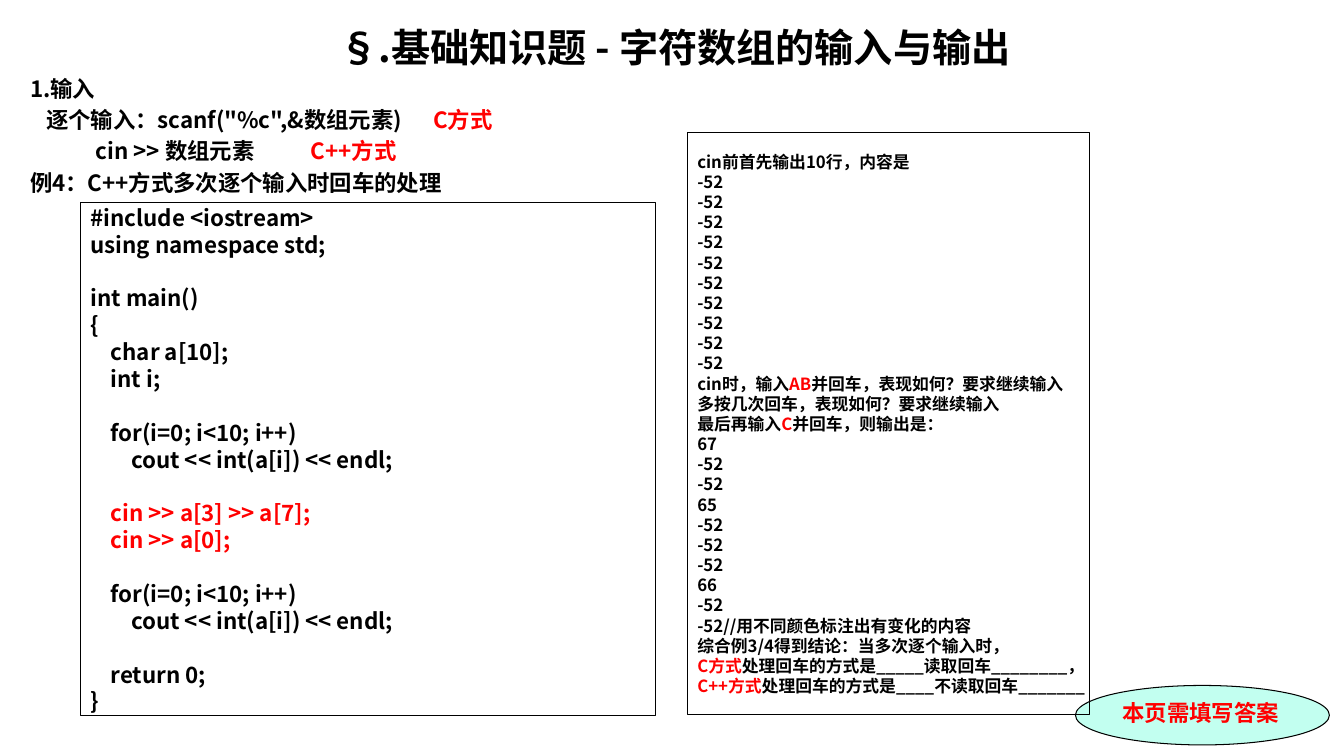
from lxml.etree import SubElement
from pptx import Presentation
from pptx.dml.color import RGBColor as RGB
from pptx.enum.shapes import MSO_SHAPE as SHAPE
from pptx.enum.text import MSO_ANCHOR as ANCHOR, PP_ALIGN as ALIGN
from pptx.oxml.ns import qn
from pptx.util import Pt

COLORS = {"ink": "000000", "red": "FF0000", "mint": "C2FFF0"}
SANS = "Noto Sans CJK SC"

CODE = """#include <iostream>
using namespace std;

int main()
{
    char a[10];
    int i;

    for(i=0; i<10; i++)
        cout << int(a[i]) << endl;

|    cin >> a[3] >> a[7];
|    cin >> a[0];

    for(i=0; i<10; i++)
        cout << int(a[i]) << endl;

    return 0;
}""".split("\n")

ANSWER = [
    "cin前首先输出10行，内容是",
    *["-52"] * 10,
    "cin时，输入|AB|并回车，表现如何？要求继续输入",
    "多按几次回车，表现如何？要求继续输入",
    "最后再输入|C|并回车，则输出是：",
    "67", "-52", "-52",
    "65", "-52", "-52", "-52",
    "66", "-52",
    "-52//用不同颜色标注出有变化的内容",
    "综合例3/4得到结论：当多次逐个输入时，",
    "|C方式|处理回车的方式是_____读取回车________，",
    "|C++方式|处理回车的方式是____不读取回车_______",
]

# text, size, tab stops
INTRO = [
    ("§.基础知识题 - 字符数组的输入与输出", 28, []),
    ("1.输入", 16, []),
    ("\t逐个输入：scanf(\"%c\",&数组元素)\t|C方式", 16, [11.5, 288]),
    ("\tcin >> 数组元素\t|C++方式", 16, [47, 200.5]),
    ("例4：C++方式多次逐个输入时回车的处理", 16, []),
]


def write(para, text, size, face=SANS):
    """Fill a paragraph; every second piece between bars is red."""
    para.line_spacing = Pt(size * 1.2)
    for n, piece in enumerate(text.split("|")):
        if not piece:
            continue
        run = para.add_run()
        run.text = piece
        font = run.font
        font.size, font.bold, font.name = Pt(size), True, face
        font.color.rgb = RGB.from_string(COLORS["red" if n % 2 else "ink"])
        SubElement(run._r.get_or_add_rPr(), qn("a:ea"), typeface=SANS)


def outline(kind, *place):
    """Add a shape with a thin black line and no fill."""
    shape = slide.shapes.add_shape(kind, *map(Pt, place))
    shape.shadow.inherit = False
    shape.fill.background()
    shape.line.color.rgb = RGB.from_string(COLORS["ink"])
    shape.line.width = Pt(0.75)
    return shape


prs = Presentation()
prs.slide_width, prs.slide_height = Pt(960), Pt(540)
slide = prs.slides.add_slide(prs.slide_layouts[6])

# Title and intro
intro = slide.shapes.add_textbox(Pt(14.4), Pt(13), Pt(935.3), Pt(510.5))
frame = intro.text_frame
frame.word_wrap = True
for n, (text, size, stops) in enumerate(INTRO):
    para = frame.add_paragraph() if n else frame.paragraphs[0]
    para.alignment = ALIGN.LEFT if n else ALIGN.CENTER
    if n:
        para.space_before = Pt(3.2)
    write(para, text, size)
    if stops:
        tabs = SubElement(para._p.get_or_add_pPr(), qn("a:tabLst"))
        for stop in stops:
            SubElement(tabs, qn("a:tab"), pos=str(Pt(stop)), algn="l")

# Badge
badge = outline(SHAPE.OVAL, 768.2, 489.6, 181.4, 42.5)
badge.fill.solid()
badge.fill.fore_color.rgb = RGB.from_string(COLORS["mint"])
frame = badge.text_frame
frame.word_wrap = True
frame.vertical_anchor = ANCHOR.TOP
frame.margin_right = 0
frame.paragraphs[0].alignment = ALIGN.LEFT
write(frame.paragraphs[0], "|本页需填写答案", 16, "Times New Roman")

# Code and answer panels
for lines, size, place in [
    (CODE, 16, (57.6, 144.7, 410.4, 366.5)),
    (ANSWER, 12, (491, 95, 287.3, 415.4)),
]:
    frame = outline(SHAPE.RECTANGLE, *place).text_frame
    frame.word_wrap = False
    frame.vertical_anchor = ANCHOR.MIDDLE
    for n, line in enumerate(lines):
        para = frame.add_paragraph() if n else frame.paragraphs[0]
        para.alignment = ALIGN.LEFT
        write(para, line, size)

prs.save("out.pptx")
